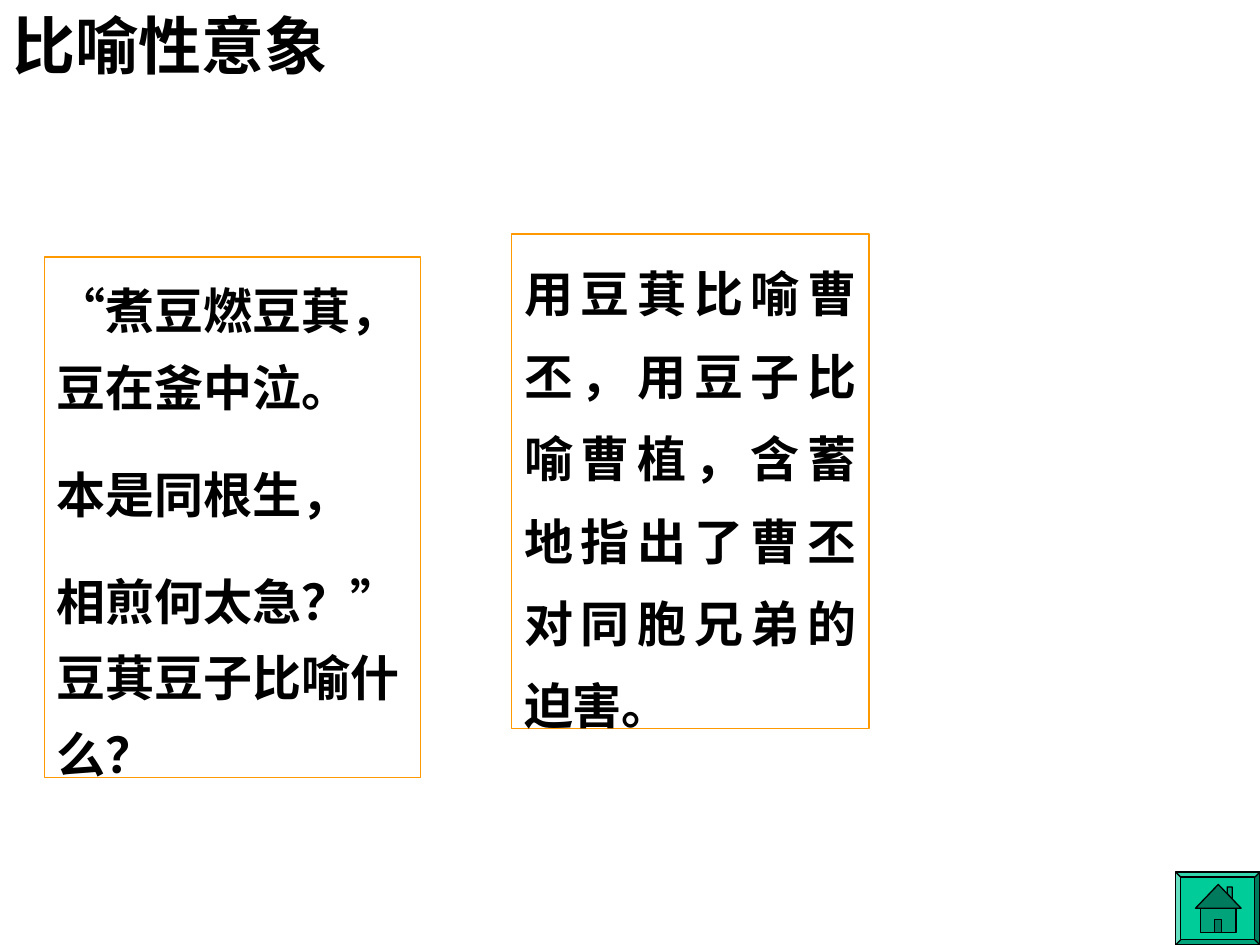
from pptx import Presentation
from pptx import util as u
from pptx.dml.color import RGBColor
from pptx.enum import lang, shapes, text
from pptx.oxml.ns import qn
from lxml import etree

BLACK = RGBColor(0, 0, 0)
WHITE = RGBColor(255, 255, 255)
ORANGE = RGBColor(255, 153, 0)
GREEN = RGBColor(0, 204, 153)
MID_GREEN = RGBColor(0, 163, 122)
DARK_GREEN = RGBColor(0, 122, 92)

QUOTE = ["“煮豆燃豆萁，豆在釜中泣。", "本是同根生，", "相煎何太急？” 豆萁豆子比喻什么？"]
ANSWER = ["用豆萁比喻曹丕，用豆子比喻曹植，含蓄地指出了曹丕对同胞兄弟的迫害。"]

CHIMNEY = [(24.74, 18.01), (24.74, 17.88), (24.84, 17.88), (24.84, 18.14)]
ROOF = [(24.56, 17.83), (25.02, 18.31), (24.1, 18.31)]
WALL = [(24.2, 18.31), (24.92, 18.31), (24.92, 18.8), (24.2, 18.8)]
DOOR = [(24.49, 18.54), (24.62, 18.54), (24.62, 18.8), (24.49, 18.8)]


class PageBuilder:
    font_name = "Times New Roman"
    line_width = u.Pt(0.75)

    def __init__(self, deck):
        self.page = deck.slides.add_slide(deck.slide_layouts[3])

    def placeholder(self, index, place, lines, size, align=text.PP_ALIGN.LEFT,
                    spacing=1.0, before=0):
        box = self.page.placeholders[index]
        box.left, box.top, box.width, box.height = map(u.Cm, place)
        box.fill.solid()
        box.fill.fore_color.rgb = WHITE
        frame = box.text_frame
        frame.text = "\n".join(lines)
        frame.word_wrap = True
        frame.auto_size = text.MSO_AUTO_SIZE.SHAPE_TO_FIT_TEXT
        frame.vertical_anchor = text.MSO_ANCHOR.TOP
        for para in frame.paragraphs:
            para.alignment = align
            para.line_spacing = spacing
            para.space_before = u.Pt(before)
            for span in para.runs:
                span.font.name = self.font_name
                span.font.size = u.Pt(size)
                span.font.bold = True
                span.font.color.rgb = BLACK
                span.font.language_id = lang.MSO_LANGUAGE_ID.SIMPLIFIED_CHINESE
        return box

    def framed_text(self, index, place, lines, **style):
        box = self.placeholder(index, place, lines, 28, **style)
        self.outline(box, ORANGE)
        for para in box.text_frame.paragraphs:
            props = para._p.get_or_add_pPr()
            props.set("marL", "0")
            props.set("indent", "0")
            etree.SubElement(props, qn("a:buNone"))
        return box

    def outline(self, shape, color):
        shape.line.color.rgb = color
        shape.line.width = self.line_width

    def paint(self, shape, color):
        shape.shadow.inherit = False
        shape.fill.solid()
        shape.fill.fore_color.rgb = color
        self.outline(shape, BLACK)

    def bevel(self, place, color):
        button = self.page.shapes.add_shape(shapes.MSO_SHAPE.BEVEL, *map(u.Cm, place))
        button.adjustments[0] = 0.07
        self.paint(button, color)

    def polygon(self, points, color):
        start, *rest = [(u.Cm(x), u.Cm(y)) for x, y in points]
        builder = self.page.shapes.build_freeform(*start)
        builder.add_line_segments(rest, close=True)
        self.paint(builder.convert_to_shape(), color)


def main():
    deck = Presentation()
    deck.slide_width, deck.slide_height = u.Cm(25.4), u.Cm(19.05)
    builder = PageBuilder(deck)
    builder.placeholder(0, (0, 0, 7.29, 1.78), ["比喻性意象"], 36)
    quote = builder.framed_text(1, (0.89, 5.18, 7.59, 10.74), QUOTE, spacing=1.3, before=17.5)
    quote.text_frame.paragraphs[0].runs[0].font.size = u.Pt(28)
    white = quote.fill._xPr.find(".//" + qn("a:srgbClr"))
    etree.SubElement(white, qn("a:alpha")).set("val", "50000")
    builder.framed_text(2, (10.31, 4.72, 7.21, 10.21), ANSWER,
                        align=text.PP_ALIGN.JUSTIFY, spacing=1.4)
    builder.bevel((23.7, 17.58, 1.7, 1.47), GREEN)
    for points, color in ((CHIMNEY, MID_GREEN), (ROOF, DARK_GREEN),
                          (WALL, MID_GREEN), (DOOR, DARK_GREEN)):
        builder.polygon(points, color)
    deck.save("out.pptx")


if __name__ == "__main__":
    main()
